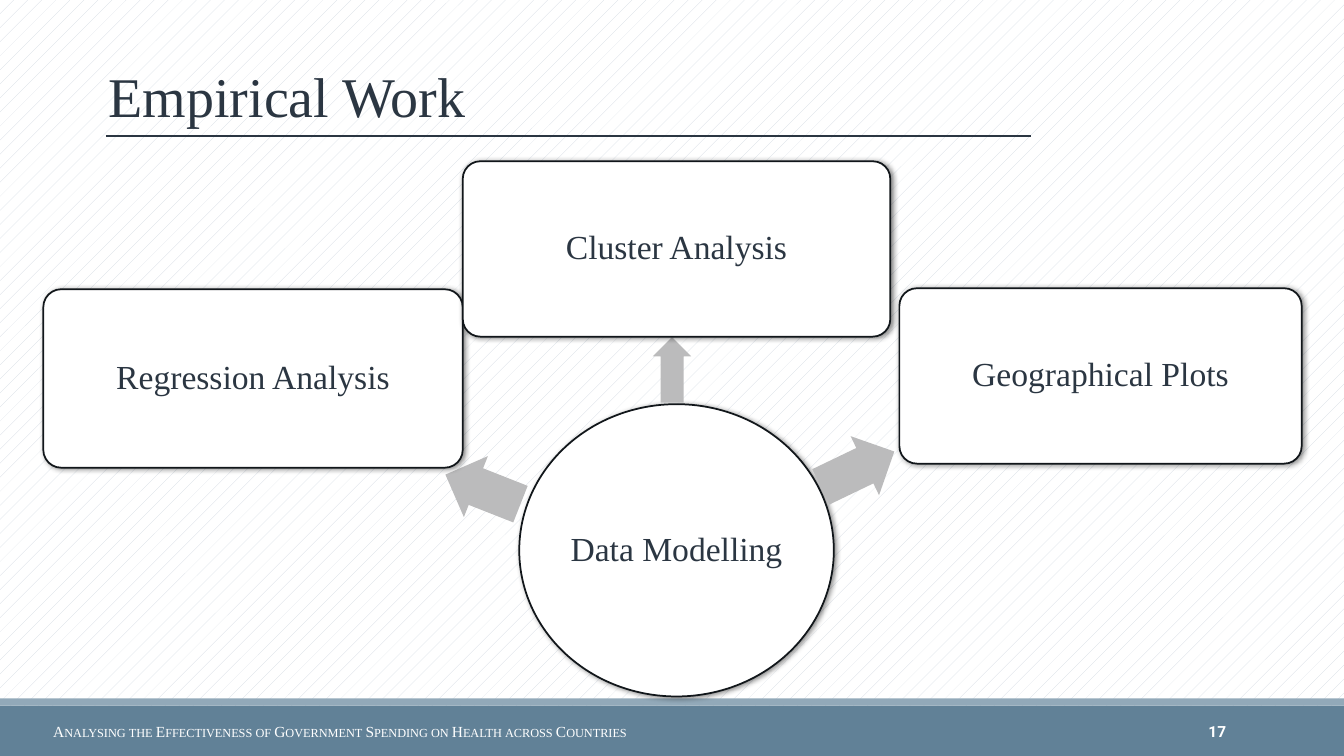
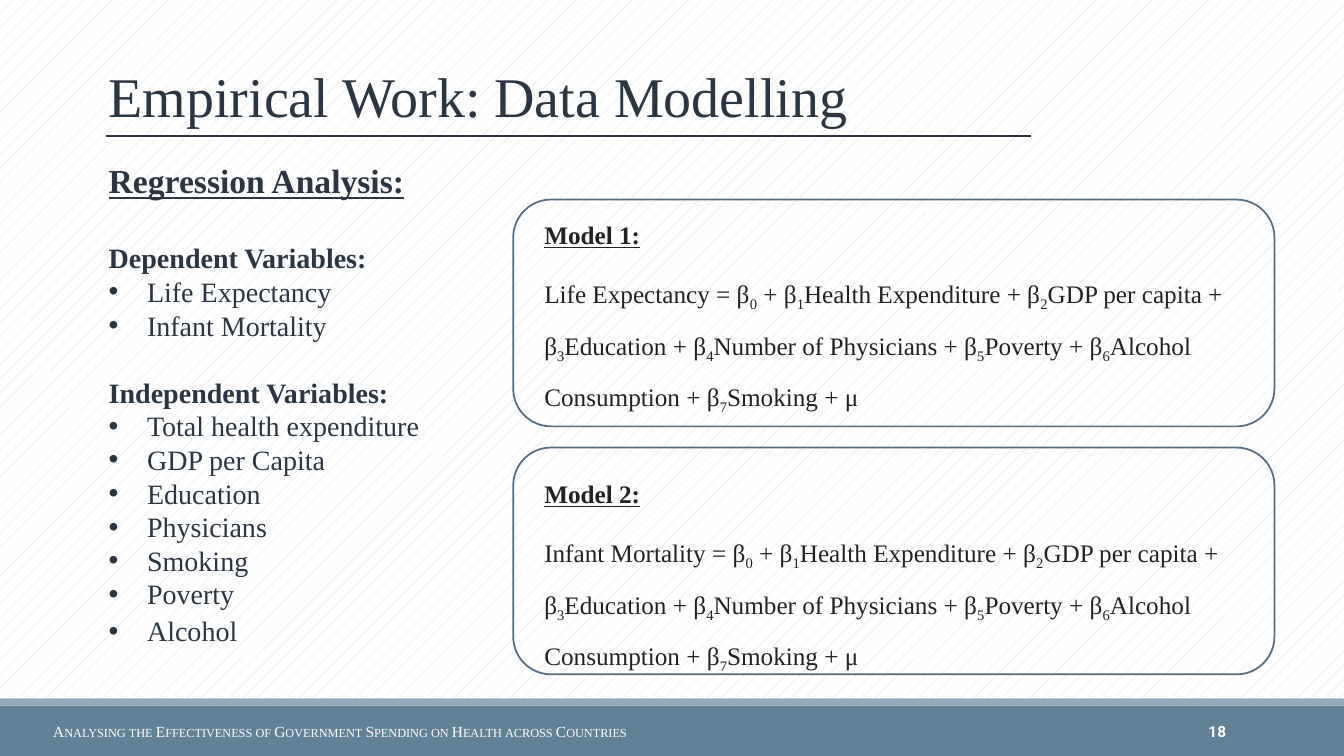
from lxml import etree
from pptx import Presentation
from pptx.dml.color import RGBColor
from pptx.enum.dml import MSO_PATTERN
from pptx.enum.shapes import MSO_CONNECTOR, MSO_SHAPE
from pptx.enum.text import MSO_ANCHOR, PP_ALIGN
from pptx.oxml import parse_xml
from pptx.oxml.ns import nsdecls, qn
from pptx.util import Inches, Pt

COLORS = {
    "paper": "FFFFFF",
    "hatch": "D1D9E1",
    "band": "618197",
    "strip": "92A9B9",
    "ink": "2B3642",
    "outline": "11161A",
    "arrow": "BBBBBC",
    "model_text": "222222",
    "model_line": "566C83",
}
SERIF = "Times New Roman"
SLIDE_WIDTH, SLIDE_HEIGHT = 13.33, 7.5
FOOTER = "Analysing the Effectiveness of Government Spending on Health across Countries"
DEPENDENT = ["Life Expectancy", "Infant Mortality"]
INDEPENDENT = ["Total health expenditure", "GDP per Capita", "Education", "Physicians",
               "Smoking", "Poverty", "Alcohol"]
PREDICTORS = ["Health Expenditure", "GDP per capita", "Education", "Number of Physicians",
              "Poverty", "Alcohol Consumption", "Smoking"]


def color(name):
    return RGBColor.from_string(COLORS[name])


def inches(box):
    return [Inches(length) for length in box]


def add_run(paragraph, text, size, color_name="ink", font=SERIF, bold=False, underline=False):
    run = paragraph.add_run()
    run.text = text
    run.font.name = font
    run.font.size = Pt(size)
    run.font.bold = bold
    run.font.underline = underline
    run.font.color.rgb = color(color_name)
    return run


def add_text_frame(slide, box, anchor=MSO_ANCHOR.TOP):
    frame = slide.shapes.add_textbox(*inches(box)).text_frame
    frame.word_wrap = True
    frame.vertical_anchor = anchor
    return frame


def add_shape(slide, preset, box, fill=None, line=None):
    shape = slide.shapes.add_shape(preset, *inches(box))
    shape.shadow.inherit = False
    if fill:
        shape.fill.solid()
        shape.fill.fore_color.rgb = color(fill)
    else:
        shape.fill.background()
    if line:
        shape.line.color.rgb = color(line)
        shape.line.width = Pt(1.25)
    else:
        shape.line.fill.background()
    return shape


def add_soft_shadow(shape):
    effects = shape._element.spPr.find(qn("a:effectLst"))
    effects.append(parse_xml(
        f'<a:outerShdw {nsdecls("a")} blurRad="50800" dist="15240" dir="1800000" '
        'algn="ctr" rotWithShape="0"><a:srgbClr val="000000"><a:alpha val="45000"/>'
        '</a:srgbClr></a:outerShdw>'))


def add_title(slide, title):
    frame = add_text_frame(slide, (0.98, 0.56, 9.04, 0.77))
    add_run(frame.paragraphs[0], title, 40)
    rule = slide.shapes.add_connector(
        MSO_CONNECTOR.STRAIGHT, *inches((1.05, 1.35, 10.23, 1.35)))
    rule.line.color.rgb = color("ink")
    rule.line.width = Pt(1.25)
    etree.SubElement(rule._element.spPr, qn("a:effectLst"))


def add_footer(slide, number):
    add_shape(slide, MSO_SHAPE.RECTANGLE, (0, 7, SLIDE_WIDTH, 0.5), "band")
    add_shape(slide, MSO_SHAPE.RECTANGLE, (0, 6.93, SLIDE_WIDTH, 0.07), "strip")
    page = add_text_frame(slide, (10.83, 7.06, 1.43, 0.4), MSO_ANCHOR.MIDDLE).paragraphs[0]
    page.alignment = PP_ALIGN.RIGHT
    add_run(page, str(number), 11, "paper", "Roboto", bold=True)
    caption = add_text_frame(slide, (0.43, 7.06, 6.13, 0.4), MSO_ANCHOR.MIDDLE).paragraphs[0]
    run = add_run(caption, FOOTER, 11, "paper")
    run._r.get_or_add_rPr().set("cap", "small")


def add_base_slide(presentation, title, number):
    slide = presentation.slides.add_slide(presentation.slide_layouts[6])
    fill = slide.background.fill
    fill.patterned()
    fill.pattern = MSO_PATTERN.PERCENT_5
    fill.fore_color.rgb = color("hatch")
    fill.back_color.rgb = color("paper")
    add_footer(slide, number)
    add_title(slide, title)
    return slide


def add_node(slide, preset, box, label):
    node = add_shape(slide, preset, box, "paper", "outline")
    add_soft_shadow(node)
    if preset == MSO_SHAPE.ROUNDED_RECTANGLE:
        node.adjustments[0] = 0.1
    frame = node.text_frame
    frame.word_wrap = True
    frame.vertical_anchor = MSO_ANCHOR.MIDDLE
    frame.margin_left = frame.margin_right = Inches(0.02)
    frame.margin_top = frame.margin_bottom = Inches(0.02)
    paragraph = frame.paragraphs[0]
    paragraph.alignment = PP_ALIGN.CENTER
    paragraph.line_spacing = 0.9
    add_run(paragraph, label, 24)


def add_arrow(slide, box, rotation):
    arrow = add_shape(slide, MSO_SHAPE.LEFT_ARROW, box, "arrow")
    arrow.adjustments[0] = 0.6
    arrow.adjustments[1] = 0.5
    arrow.rotation = rotation


def add_method_diagram(slide):
    add_node(slide, MSO_SHAPE.OVAL, (5.15, 4.01, 3.12, 2.9), "Data Modelling")
    branches = [
        ("Regression Analysis", (0.43, 2.87, 4.16, 1.77), (4.39, 4.53, 0.8, 0.65), 21.5),
        ("Cluster Analysis", (4.59, 1.6, 4.24, 1.74), (6.34, 3.48, 0.65, 0.38), 90),
        ("Geographical Plots", (8.92, 2.86, 3.99, 1.74), (8.1, 4.33, 0.81, 0.65), 154.3),
    ]
    for label, node_box, arrow_box, rotation in branches:
        add_arrow(slide, arrow_box, rotation)
        add_node(slide, MSO_SHAPE.ROUNDED_RECTANGLE, node_box, label)


def make_bullet(paragraph):
    properties = paragraph._p.get_or_add_pPr()
    properties.set("marL", str(Inches(0.38)))
    properties.set("indent", str(-Inches(0.38)))
    etree.SubElement(properties, qn("a:buFont")).set("typeface", "Arial")
    etree.SubElement(properties, qn("a:buChar")).set("char", "•")


def add_variable_list(slide, box):
    frame = add_text_frame(slide, box)
    heading = frame.paragraphs[0]
    heading.line_spacing = Pt(28.8)
    add_run(heading, "Regression Analysis:", 24, bold=True, underline=True)
    groups = [("Dependent Variables:", DEPENDENT, 28.8),
              ("Independent Variables:", INDEPENDENT, 24)]
    for group, variables, gap in groups:
        paragraph = frame.add_paragraph()
        paragraph.line_spacing = Pt(24)
        paragraph.space_before = Pt(gap)
        add_run(paragraph, group, 20, bold=True)
        for variable in variables:
            paragraph = frame.add_paragraph()
            paragraph.line_spacing = Pt(24)
            make_bullet(paragraph)
            add_run(paragraph, variable, 20)
    paragraph.line_spacing = Pt(26.4)


def add_equation(paragraph, outcome):
    """Write outcome = β0 + β1 first predictor + ... + μ, with subscript indices."""
    add_run(paragraph, f"{outcome} = β", 18, "model_text")
    for index, predictor in enumerate(["", *PREDICTORS]):
        subscript = add_run(paragraph, str(index), 18, "model_text")
        subscript._r.get_or_add_rPr().set("baseline", "-25000")
        ending = "μ" if index == len(PREDICTORS) else "β"
        add_run(paragraph, f"{predictor} + {ending}", 18, "model_text")


def add_model(slide, box, name, outcome, text_offset):
    left, top, width, height = box
    add_shape(slide, MSO_SHAPE.ROUNDED_RECTANGLE, box, line="model_line")
    frame = add_text_frame(slide, (left + 0.21, top + text_offset, width, 1.98))
    heading, equation = frame.paragraphs[0], frame.add_paragraph()
    for paragraph in (heading, equation):
        paragraph.line_spacing = 1.5
        paragraph.space_after = Pt(8)
    add_run(heading, name, 18, "model_text", bold=True, underline=True)
    add_equation(equation, outcome)


def main():
    presentation = Presentation()
    presentation.slide_width = Inches(SLIDE_WIDTH)
    presentation.slide_height = Inches(SLIDE_HEIGHT)

    overview = add_base_slide(presentation, "Empirical Work", 17)
    add_method_diagram(overview)

    modelling = add_base_slide(presentation, "Empirical Work: Data Modelling", 18)
    add_variable_list(modelling, (0.98, 1.54, 4.32, 5.02))
    add_model(modelling, (5.09, 1.98, 7.55, 2.25), "Model 1:", DEPENDENT[0], 0)
    add_model(modelling, (5.09, 4.44, 7.55, 2.25), "Model 2:", DEPENDENT[1], 0.11)

    presentation.save("out.pptx")


if __name__ == "__main__":
    main()
